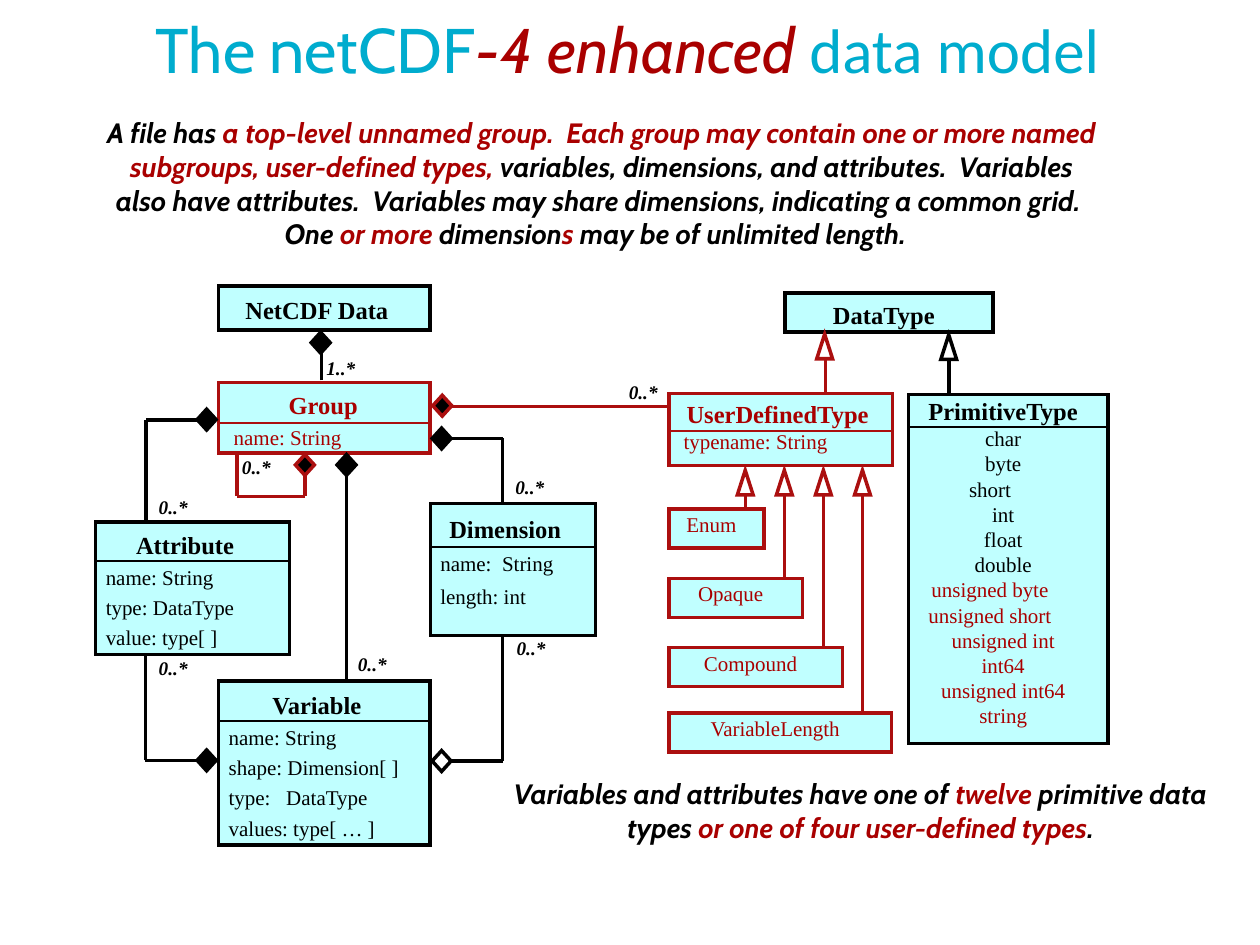
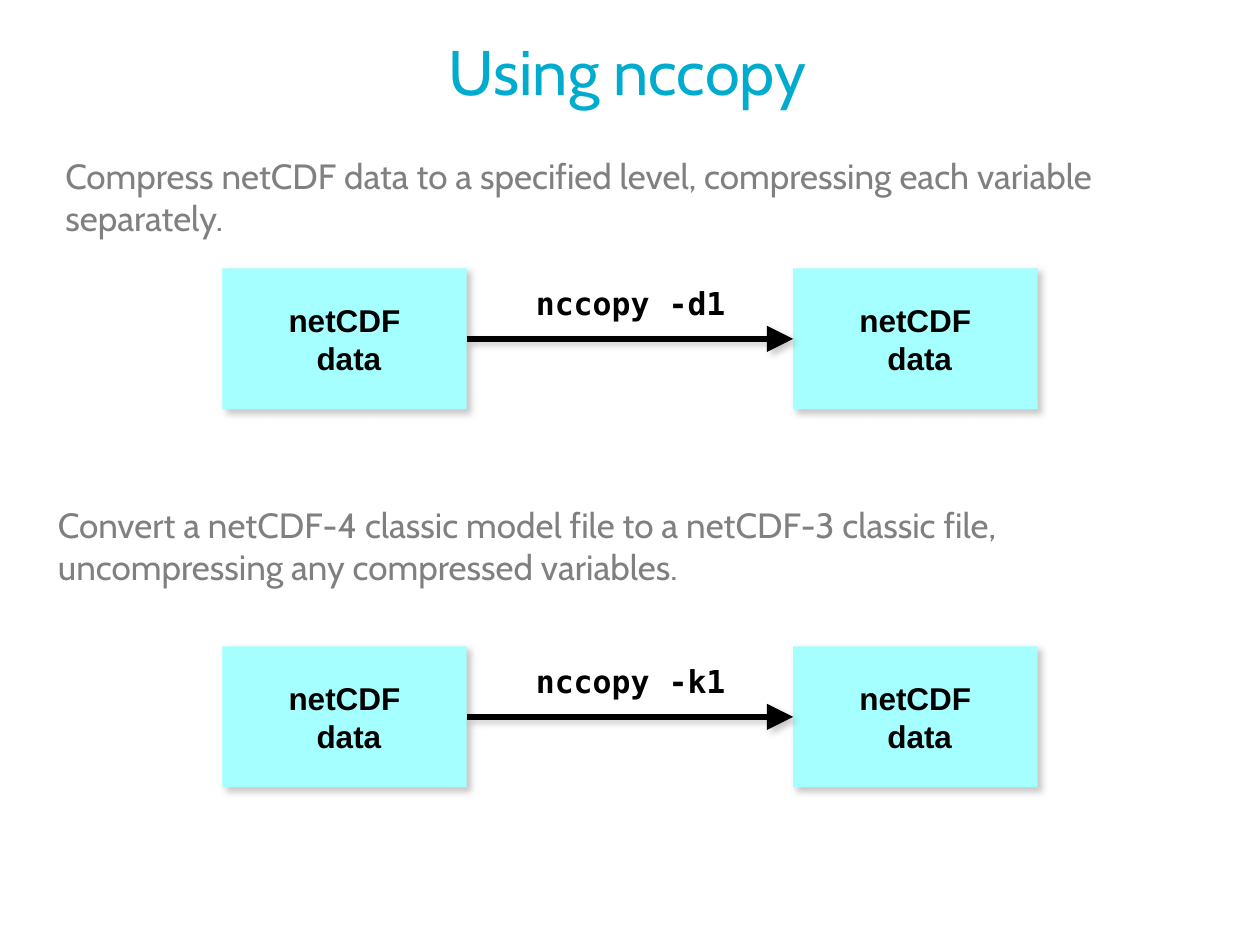
from lxml import etree
from pptx import Presentation
from pptx.dml.color import RGBColor
from pptx.enum.shapes import MSO_CONNECTOR, MSO_SHAPE as SHAPE
from pptx.enum.text import MSO_ANCHOR as ANCHOR, MSO_AUTO_SIZE, PP_ALIGN as ALIGN
from pptx.oxml.ns import qn
from pptx.util import Inches, Pt

COLORS = {
    "black": "000000", "white": "FFFFFF", "title": "00ACCE", "gray": "808080",
    "red": "A90000", "outline": "AB0F0F", "class": "C0FFFF", "data": "A5FFFF",
}
# Every length below counts cells of a grid of 100 columns by 75 rows.
CELL = Inches(0.1)

TITLE = {"name": "Cabin", "size": Pt(36), "color": "title"}
NOTE = {"name": "Cabin", "size": Pt(16), "bold": True, "italic": True, "color": "black"}
RED_NOTE = NOTE | {"color": "red"}
TASK = {"name": "Cabin", "size": Pt(20), "color": "gray"}
HEADING = {"name": "Times New Roman", "size": Pt(14), "bold": True, "color": "black"}
MEMBER = {"name": "Times New Roman", "size": Pt(12), "bold": False, "color": "black"}
COUNT = {"name": "Times New Roman", "size": Pt(11), "bold": True, "italic": True, "color": "black"}
DATA = {"name": "Arial", "size": Pt(18), "bold": True, "color": "black"}
COMMAND = DATA | {"name": "DejaVu Sans Mono"}
CENTER = {"alignment": ALIGN.CENTER}
TITLE_INSETS = (1, 0.5, 1.4, 0.5)


def write(shape, lines, insets=(0, 0, 0, 0), anchor=ANCHOR.TOP):
    """Fill a shape with lines, each a list of (text, font) runs and a paragraph layout."""
    frame = shape.text_frame
    frame.word_wrap = True
    frame.auto_size = MSO_AUTO_SIZE.NONE
    frame.vertical_anchor = anchor
    for side, inset in zip(("left", "top", "right", "bottom"), insets):
        setattr(frame, f"margin_{side}", round(CELL * inset))
    for number, (runs, layout) in enumerate(lines):
        paragraph = frame.add_paragraph() if number else frame.paragraphs[0]
        for key, value in layout.items():
            if key in ("marL", "marR"):
                paragraph._p.get_or_add_pPr().set(key, str(round(CELL * value)))
            else:
                setattr(paragraph, key, value)
        for text, font in runs:
            run = paragraph.add_run()
            run.text = text
            for key, value in font.items():
                if key == "color":
                    run.font.color.rgb = RGBColor.from_string(COLORS[value])
                else:
                    setattr(run.font, key, value)


def add_line(slide, start, end, color="black", width=2):
    points = [round(CELL * n) for n in (*start, *end)]
    line = slide.shapes.add_connector(MSO_CONNECTOR.STRAIGHT, *points)
    line.line.color.rgb = RGBColor.from_string(COLORS[color])
    line.line.width = Pt(width)
    etree.SubElement(line._element.spPr, qn("a:effectLst"))
    return line


presentation = Presentation()
presentation.slide_width = CELL * 100
presentation.slide_height = CELL * 75

# Both slides: title
slides = []
for top, height, runs in [
    (0, 7.7, [("The netCDF", TITLE),
              ("-4 enhanced ", TITLE | {"color": "red", "italic": True}),
              ("data model", TITLE | {"name": "Calibri"})]),
    (1, 9.2, [("Using nccopy", TITLE)]),
]:
    slide = presentation.slides.add_slide(presentation.slide_layouts[5])
    title = slide.shapes.title
    title.left, title.top, title.width, title.height = [
        round(CELL * n) for n in (5, top, 90, height)]
    write(title, [(runs, CENTER)], TITLE_INSETS, ANCHOR.MIDDLE)
    slides.append(slide)
model, copying = slides

# Slide 1: notes
for box, runs in [
    ((8.4, 9.2, 79.9, 10.6), [
        ("A file has ", NOTE),
        ("a top-level unnamed group.  Each group may contain one or more named "
         "subgroups, user-defined types,", RED_NOTE),
        (" variables, dimensions, and attributes.  Variables also have attributes.  "
         "Variables may share dimensions, indicating a common grid.  One ", NOTE),
        ("or more", RED_NOTE), (" dimension", NOTE), ("s", RED_NOTE),
        (" may be of unlimited length.  ", NOTE)]),
    ((40.1, 61.65, 57.6, 5.3), [
        ("Variables and attributes have one of ", NOTE), ("twelve", RED_NOTE),
        (" primitive data types ", NOTE),
        ("or one of four user-defined types", RED_NOTE), (".", NOTE)]),
]:
    note = model.shapes.add_textbox(*[round(CELL * n) for n in box])
    write(note, [(runs, CENTER)], (0, 0, 1.2, 0))

# Slide 1: classes
SHIFTED = {"short", "unsigned byte", "unsigned short"}
ENHANCED = {"unsigned byte", "unsigned short", "unsigned int", "int64",
            "unsigned int64", "string"}
PRIMITIVES = ["char", "byte", "short", "int", "float", "double", "unsigned byte",
              "unsigned short", "unsigned int", "int64", "unsigned int64", "string"]
HEADING_INDENTS = {"Group": 1, "UserDefinedType": 0.3}
# name, box, is new, divider below top, text below top, line spacing, indent, members
classes = [
    ("Variable", (17.35, 54.05, 16.8, 13), False, 3.2, 0.25, 1.2, 0.8,
     ["name: String", "shape: Dimension[ ]", "type:   DataType", "values: type[ … ]"]),
    ("Dimension", (34.15, 39.95, 13.1, 10.5), False, 3.45, 0.15, 1.3, 0.8,
     ["name:  String", "length: int"]),
    ("Attribute", (7.6, 41.45, 15.4, 10.5), False, 3.1, 0.15, 1.2, 0.8,
     ["name: String", "type: DataType", "value: type[ ]"]),
    ("Group", (17.35, 30.35, 16.8, 5.6), True, 3.25, 0.15, 1.2, 1.2, ["name: String"]),
    ("NetCDF Data", (17.35, 22.7, 16.8, 3.5), False, 0, 0.25, 1.2, 0, []),
    ("DataType", (62.3, 23.25, 16.5, 3.1), False, 0, 0.3, 1.1, 0, []),
    ("PrimitiveType", (72.1, 31.3, 15.85, 27.7), False, 2.6, 0.15, 1, 0, PRIMITIVES),
    ("UserDefinedType", (53.1, 31.25, 17.75, 5.7), True, 2.95, 0.45, 1, 1.15,
     ["typename: String"]),
]
# Subtypes have a single plain, centred line.
subtypes = [("Enum", 40.4, 7.55), ("Opaque", 45.9, 10.6),
            ("Compound", 51.4, 13.75), ("VariableLength", 56.6, 17.65)]
classes += [(name, (53.1, top, width, 3.1), True, 0, 0.2, 1, 0, [])
            for name, top, width in subtypes]
subtype_names = {name for name, top, width in subtypes}

for name, box, is_new, divider, text_top, spacing, indent, members in classes:
    left, top, width, height = box
    outline = "outline" if is_new else "black"
    shape = model.shapes.add_shape(SHAPE.RECTANGLE, *[round(CELL * n) for n in box])
    shape.shadow.inherit = False
    shape.fill.solid()
    shape.fill.fore_color.rgb = RGBColor.from_string(COLORS["class"])
    shape.line.color.rgb = RGBColor.from_string(COLORS[outline])
    shape.line.width = Pt(2)
    etree.SubElement(shape.line._get_or_add_ln(), qn("a:miter"), lim="800000")

    heading = MEMBER if name in subtype_names else HEADING
    heading = heading | {"color": "red" if is_new else "black"}
    layout = CENTER | {"line_spacing": float(spacing)}
    lines = [([(name, heading)], layout | {"marL": HEADING_INDENTS.get(name, 0)})]
    for member in members:
        font = MEMBER | {"color": "red" if is_new or member in ENHANCED else "black"}
        if name == "PrimitiveType":
            place = {"marR": 2.1 if member in SHIFTED else 0}
        else:
            place = {"alignment": ALIGN.LEFT, "marL": indent}
        lines.append(([(member, font)], layout | place))
    write(shape, lines, (0, text_top, 1.2 if left < 50 else 0.8, 0))
    if divider:
        add_line(model, (left, top + divider), (left + width, top + divider), outline, 1)

# Slide 1: relations
routes = [
    ("black", [(16.4, 33.35), (11.6, 33.35), (11.6, 41.5)]),
    ("black", [(35, 34.8), (39.9, 34.8), (39.9, 40)]),
    ("black", [(16.4, 60.35), (11.55, 60.35), (11.55, 52)]),
    ("black", [(35.1, 60.4), (39.9, 60.4), (39.9, 50.5)]),
    ("black", [(27.5, 37), (27.5, 54)]),
    ("black", [(25.5, 30.2), (25.5, 26.3)]),
    ("outline", [(18.8, 36), (18.8, 39.4), (24.2, 39.4), (24.2, 37)]),
    ("outline", [(35.1, 32.25), (53.1, 32.25)]),
    ("outline", [(65.5, 28.3), (65.5, 31.2)]),
    ("black", [(75.3, 28.4), (75.3, 31.2)]),
]
tips = [59.15 + 3.1 * number for number in range(len(subtypes))]
routes += [("outline", [(x, 39.1), (x, top)]) for x, (name, top, width) in zip(tips, subtypes)]
for color, route in routes:
    for start, end in zip(route, route[1:]):
        add_line(model, start, end, color)

# Slide 1: relation ends, by centre
DIAMOND = (SHAPE.DIAMOND, 1.5, 1.65)
TRIANGLE = (SHAPE.ISOSCELES_TRIANGLE, 1.25, 1.95)
ends = [
    (DIAMOND, 16.4, 33.3, "black", "black"),
    (DIAMOND, 35.05, 34.8, "black", "black"),
    (DIAMOND, 16.4, 60.35, "black", "black"),
    (DIAMOND, 35.05, 60.4, "white", "black"),
    (DIAMOND, 27.5, 36.9, "black", "black"),
    (DIAMOND, 25.45, 27.2, "black", "black"),
    (DIAMOND, 35.1, 32.2, "black", "outline"),
    (DIAMOND, 24.2, 36.9, "black", "outline"),
    (TRIANGLE, 65.45, 27.5, "white", "outline"),
    (TRIANGLE, 75.3, 27.55, "white", "black"),
]
ends += [(TRIANGLE, x, 38.3, "white", "outline") for x in tips]
for (kind, width, height), x, y, fill, outline in ends:
    box = (x - width / 2, y - height / 2, width, height)
    end = model.shapes.add_shape(kind, *[round(CELL * n) for n in box])
    end.shadow.inherit = False
    end.fill.solid()
    end.fill.fore_color.rgb = RGBColor.from_string(COLORS[fill])
    end.line.color.rgb = RGBColor.from_string(COLORS[outline])
    end.line.width = Pt(2)
    etree.SubElement(end.line._get_or_add_ln(), qn("a:miter"), lim="800000")

# Slide 1: multiplicities
for left, top, count in [
    (12.1, 38.9, "0..*"), (25.4, 27.9, "1..*"), (18.7, 35.7, "0..*"), (27.9, 51.4, "0..*"),
    (49.4, 29.8, "0..*"), (40.4, 37.3, "0..*"), (40.5, 50.1, "0..*"), (12.1, 51.7, "0..*"),
]:
    label = model.shapes.add_textbox(*[round(CELL * n) for n in (left, top, 4.1, 2.7)])
    write(label, [([(count, COUNT)], {})], (0.5, 0.4, 0.2, 0.4))

# Slide 2: tasks
for box, insets, task in [
    ((4.2, 11.8, 92.5, 9), TITLE_INSETS,
     "Compress netCDF data to a specified level, compressing each variable separately."),
    ((4.2, 39.95, 90.3, 9.2), (0.4, 0, 0.4, 0),
     "Convert a netCDF-4 classic model file to a netCDF-3 classic file, "
     "uncompressing any compressed variables."),
]:
    text_box = copying.shapes.add_textbox(*[round(CELL * n) for n in box])
    write(text_box, [([(task, TASK)], {})], insets)

# Slide 2: flows
for top, command in [(21.3, "nccopy -d1"), (51.3, "nccopy -k1")]:
    data_boxes = []
    for left in (17.65, 62.95):
        box = (left, top, 19.4, 11.2)
        shape = copying.shapes.add_shape(SHAPE.RECTANGLE, *[round(CELL * n) for n in box])
        shape.shadow.inherit = False
        shape.fill.solid()
        shape.fill.fore_color.rgb = RGBColor.from_string(COLORS["data"])
        shape.line.fill.background()
        write(shape, [([(word, DATA)], CENTER) for word in ("netCDF", " data")],
              anchor=ANCHOR.MIDDLE)
        data_boxes.append(shape)
    source, target = data_boxes
    arrow = add_line(copying, (37.05, top + 5.6), (62.95, top + 5.6), width=3)
    arrow.begin_connect(source, 3)
    arrow.end_connect(target, 1)
    etree.SubElement(arrow.line._get_or_add_ln(), qn("a:tailEnd"),
                     type="triangle", w="lg", len="lg")
    for item in (source, target, arrow):
        effects = item._element.spPr.find(qn("a:effectLst"))
        shadow = etree.SubElement(
            effects, qn("a:outerShdw"), blurRad=str(Pt(4)), dist=str(Pt(3)),
            dir="2700000", algn="ctr", rotWithShape="0")
        tint = etree.SubElement(shadow, qn("a:srgbClr"), val=COLORS["gray"])
        etree.SubElement(tint, qn("a:alpha"), val="43000")
    label = copying.shapes.add_textbox(
        *[round(CELL * n) for n in (41.7, top + 1.2, 16.7, 4.2)])
    write(label, [([(command, COMMAND)], CENTER)])

presentation.save("out.pptx")
